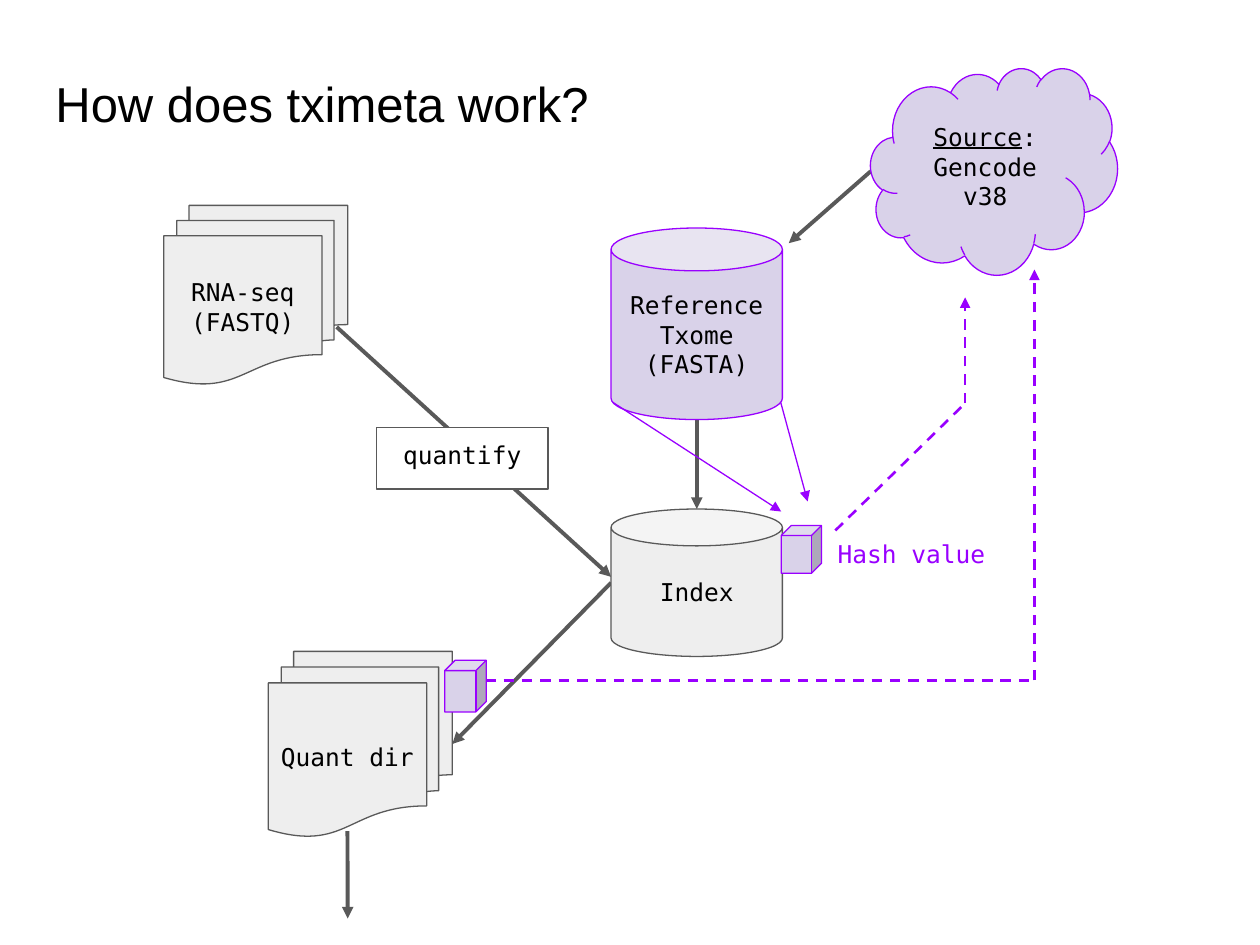
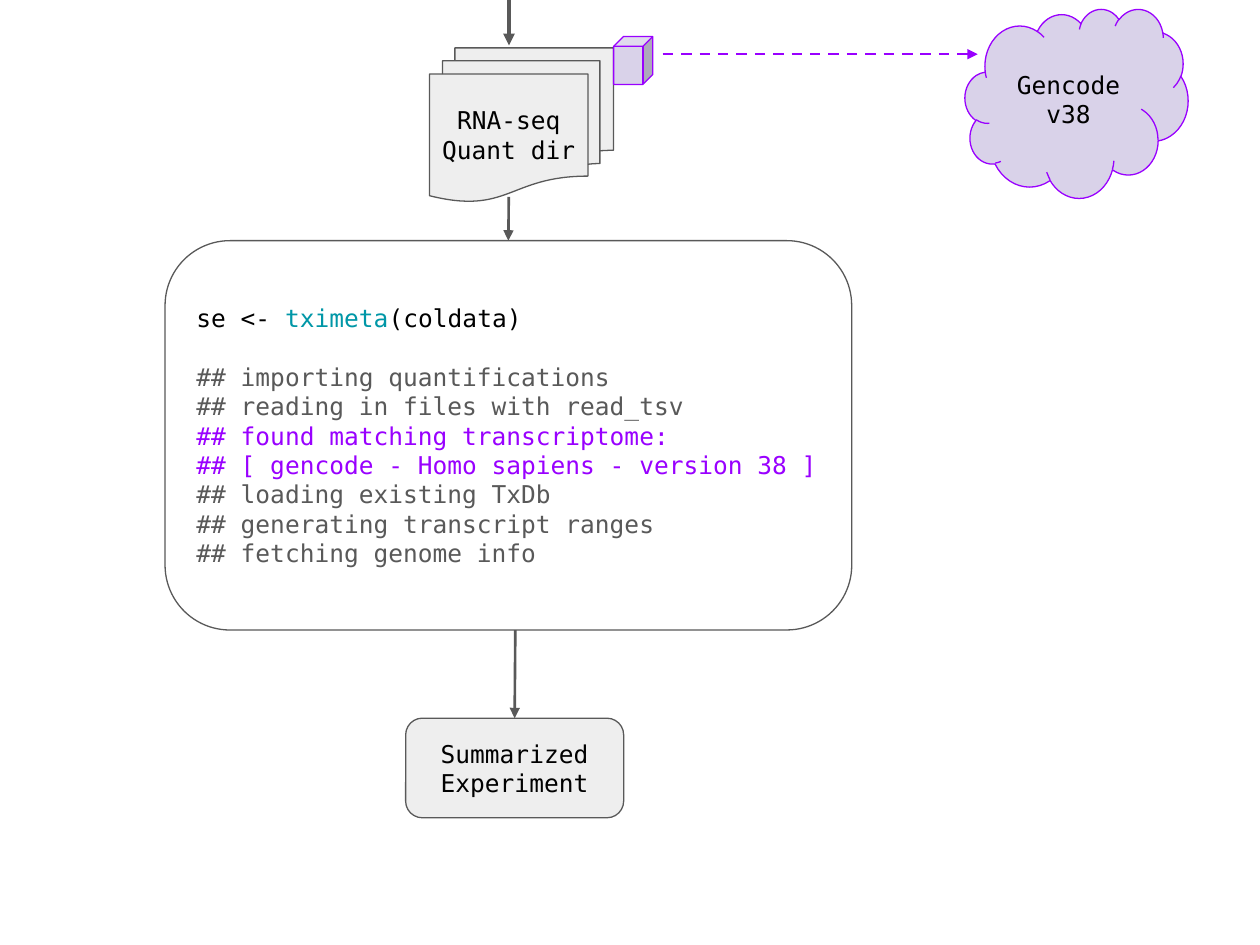
from dataclasses import dataclass
from itertools import pairwise

from lxml.etree import SubElement
from pptx import Presentation
from pptx.dml.color import RGBColor
from pptx.enum.dml import MSO_LINE
from pptx.enum.shapes import MSO_CONNECTOR, MSO_SHAPE
from pptx.enum.text import MSO_ANCHOR, MSO_AUTO_SIZE, PP_ALIGN
from pptx.oxml.ns import qn
from pptx.util import Inches, Pt


@dataclass(frozen=True)
class Theme:
    ink: RGBColor = RGBColor(0x00, 0x00, 0x00)
    white: RGBColor = RGBColor(0xFF, 0xFF, 0xFF)
    gray: RGBColor = RGBColor(0x59, 0x59, 0x59)
    pale_gray: RGBColor = RGBColor(0xEE, 0xEE, 0xEE)
    purple: RGBColor = RGBColor(0x99, 0x00, 0xFF)
    lilac: RGBColor = RGBColor(0xD9, 0xD2, 0xE9)
    teal: RGBColor = RGBColor(0x00, 0x97, 0xA7)
    title_font: str = "Arial"
    code_font: str = "DejaVu Sans Mono"
    title_size: Pt = Pt(28)
    code_size: Pt = Pt(14)
    code_gap: Pt = Pt(16.8)
    outline: Pt = Pt(0.75)


THEME = Theme()
COLUMNS, ROWS = 10, 7.5
CELL = Inches(1)
INSET = 0.1

PALETTES = {
    "data": (THEME.pale_gray, THEME.gray),
    "origin": (THEME.lilac, THEME.purple),
    "plain": (THEME.white, THEME.gray),
}
LINK_STYLES = {
    "flow": (THEME.gray, Pt(2.25), None),
    "step": (THEME.gray, Pt(1.5), None),
    "hash": (THEME.purple, Pt(0.75), None),
    "lookup": (THEME.purple, Pt(1.5), MSO_LINE.DASH),
}

STACK = MSO_SHAPE.FLOWCHART_MULTIDOCUMENT
CAN = MSO_SHAPE.CAN
CUBE = MSO_SHAPE.CUBE
CLOUD = MSO_SHAPE.CLOUD
ROUNDED = MSO_SHAPE.ROUNDED_RECTANGLE

CODE = [
    (THEME.ink, "se <- ", ("tximeta", THEME.teal), "(coldata)"),
    (THEME.gray, "## importing quantifications"),
    (THEME.gray, "## reading in files with read_tsv"),
    (THEME.purple, "## found matching transcriptome:"),
    (THEME.purple, "## [ gencode - Homo sapiens - version 38 ]"),
    (THEME.gray, "## loading existing TxDb"),
    (THEME.gray, "## generating transcript ranges"),
    (THEME.gray, "## fetching genome info"),
]

SLIDES = [
    {
        "title": "How does tximeta work?",
        "nodes": {
            "reads": (STACK, "data", (1.3, 1.63, 1.46, 1.42), ["RNA-seq", "(FASTQ)"]),
            "reference": (CAN, "origin", (4.85, 1.81, 1.36, 1.52), ["Reference Txome\n(FASTA)"]),
            "index": (CAN, "data", (4.85, 4.04, 1.36, 1.17), ["Index"]),
            "source": (CLOUD, "origin", (6.91, 0.54, 1.96, 1.64), [(THEME.ink, ("Source", None), ": Gencode v38")]),
            "index hash": (CUBE, "origin", (6.2, 4.17, 0.32, 0.38), []),
            "quantify": (MSO_SHAPE.RECTANGLE, "plain", (2.99, 3.39, 1.36, 0.49), ["quantify"]),
            "quants": (STACK, "data", (2.13, 5.17, 1.46, 1.47), ["Quant dir"]),
            "quants hash": (CUBE, "origin", (3.53, 5.24, 0.33, 0.41), []),
        },
        "label": ((6.55, 4.18, 3, 0.35), "Hash value"),
        "links": [
            ("flow", ("source", 0, 0.5), (6.26, 1.93)),
            ("flow", ("reads", 0.94, 0.68), ("index", 0, 0.46)),
            ("flow", ("index", 0, 0.5), ("quants", 1, 0.5)),
            ("flow", ("quants", 0.43, 0.97), (2.76, 7.29)),
            ("flow", ("reference", 0.5, 1), ("index", 0.5, 0)),
            ("lookup", (6.63, 4.21), (7.66, 3.2), (7.66, 2.36)),
            ("lookup", (3.85, 5.4), (8.21, 5.4), (8.21, 2.14)),
        ],
        "front links": [
            ("hash", ("reference", 0.01, 0.91), (6.2, 4.06)),
            ("hash", ("reference", 0.99, 0.91), (6.41, 3.98)),
        ],
    },
    {
        "nodes": {
            "quants": (STACK, "data", (3.41, 0.38, 1.46, 1.22), ["RNA-seq", "Quant dir"]),
            "code": (ROUNDED, "plain", (1.31, 1.91, 5.45, 3.09), CODE),
            "quants hash": (CUBE, "origin", (4.87, 0.29, 0.31, 0.38), []),
            "source": (CLOUD, "origin", (7.66, 0.07, 1.77, 1.5), ["Gencode v38"]),
            "result": (ROUNDED, "data", (3.22, 5.7, 1.73, 0.79), ["Summarized\nExperiment"]),
        },
        "links": [
            ("flow", (4.04, 0), (4.04, 0.36)),
            ("step", ("quants", 0.43, 0.97), ("code", 0.5, 0)),
            ("lookup", (5.26, 0.43), (7.76, 0.43)),
            ("step", (4.09, 5), ("result", 0.5, 0)),
        ],
    },
]


def grid(*lengths):
    return [round(length * CELL) for length in lengths]


def set_font(paragraph, color, name=THEME.code_font, size=THEME.code_size):
    paragraph.font.name = name
    paragraph.font.size = size
    for run in paragraph.runs:
        run.font.color.rgb = color


def prepare_frame(shape, anchor):
    frame = shape.text_frame
    frame.word_wrap = True
    frame.auto_size = MSO_AUTO_SIZE.NONE
    frame.vertical_anchor = anchor
    frame.margin_left = frame.margin_top = frame.margin_right = frame.margin_bottom = Inches(INSET)
    return frame


def add_parts(paragraph, color, parts):
    texts = [part if isinstance(part, str) else part[0] for part in parts]
    for text in texts:
        paragraph.add_run().text = text
    set_font(paragraph, color)
    for run, part in zip(paragraph.runs, parts):
        if isinstance(part, str):
            continue
        if part[1] is None:
            run.font.underline = True
        else:
            run.font.color.rgb = part[1]


def write_lines(frame, lines, alignment):
    for number, line in enumerate(lines):
        paragraph = frame.paragraphs[0] if number == 0 else frame.add_paragraph()
        paragraph.alignment = alignment
        if isinstance(line, str):
            paragraph.text = line
            set_font(paragraph, THEME.ink)
        else:
            color, *parts = line
            add_parts(paragraph, color, parts)


def add_title(slide, text):
    title = slide.shapes.title
    title.left, title.top, title.width, title.height = grid(0.34, 0.48, 9.32, 0.95)
    frame = prepare_frame(title, MSO_ANCHOR.TOP)
    paragraph = frame.paragraphs[0]
    paragraph.text = text
    paragraph.alignment = PP_ALIGN.LEFT
    set_font(paragraph, THEME.ink, THEME.title_font, THEME.title_size)


def add_node(slide, kind, palette, box, lines):
    shape = slide.shapes.add_shape(kind, *grid(*box))
    shape.shadow.inherit = False
    fill, line = PALETTES[palette]
    shape.fill.solid()
    shape.fill.fore_color.rgb = fill
    shape.line.color.rgb = line
    shape.line.width = THEME.outline
    anchor = MSO_ANCHOR.TOP if kind == MSO_SHAPE.RECTANGLE else MSO_ANCHOR.MIDDLE
    if lines:
        frame = prepare_frame(shape, anchor)
        write_lines(frame, lines, PP_ALIGN.LEFT if lines is CODE else PP_ALIGN.CENTER)
    if lines is CODE:
        frame.paragraphs[0].space_after = THEME.code_gap


def add_label(slide, box, text):
    label = slide.shapes.add_textbox(*grid(*box))
    frame = prepare_frame(label, MSO_ANCHOR.TOP)
    write_lines(frame, [(THEME.purple, text)], PP_ALIGN.LEFT)


def locate(point, nodes):
    if len(point) == 2:
        return point
    name, across, down = point
    left, top, width, height = nodes[name][2]
    return left + across * width, top + down * height


def add_link(slide, nodes, style, *points):
    color, width, dash = LINK_STYLES[style]
    for start, end in pairwise(locate(point, nodes) for point in points):
        connector = slide.shapes.add_connector(MSO_CONNECTOR.STRAIGHT, *grid(*start, *end))
        connector.line.color.rgb = color
        connector.line.width = width
        if dash:
            connector.line.dash_style = dash
        SubElement(connector.element.spPr, qn("a:effectLst"))
    SubElement(connector.element.spPr.find(qn("a:ln")), qn("a:tailEnd"), type="triangle")


def main():
    presentation = Presentation()
    presentation.slide_width, presentation.slide_height = grid(COLUMNS, ROWS)
    title_only, blank = presentation.slide_layouts[5], presentation.slide_layouts[6]
    for content in SLIDES:
        slide = presentation.slides.add_slide(title_only if "title" in content else blank)
        nodes = content["nodes"]
        if "title" in content:
            add_title(slide, content["title"])
        for link in content["links"]:
            add_link(slide, nodes, *link)
        for node in nodes.values():
            add_node(slide, *node)
        for link in content.get("front links", []):
            add_link(slide, nodes, *link)
        if "label" in content:
            add_label(slide, *content["label"])
    presentation.save("out.pptx")


if __name__ == "__main__":
    main()
